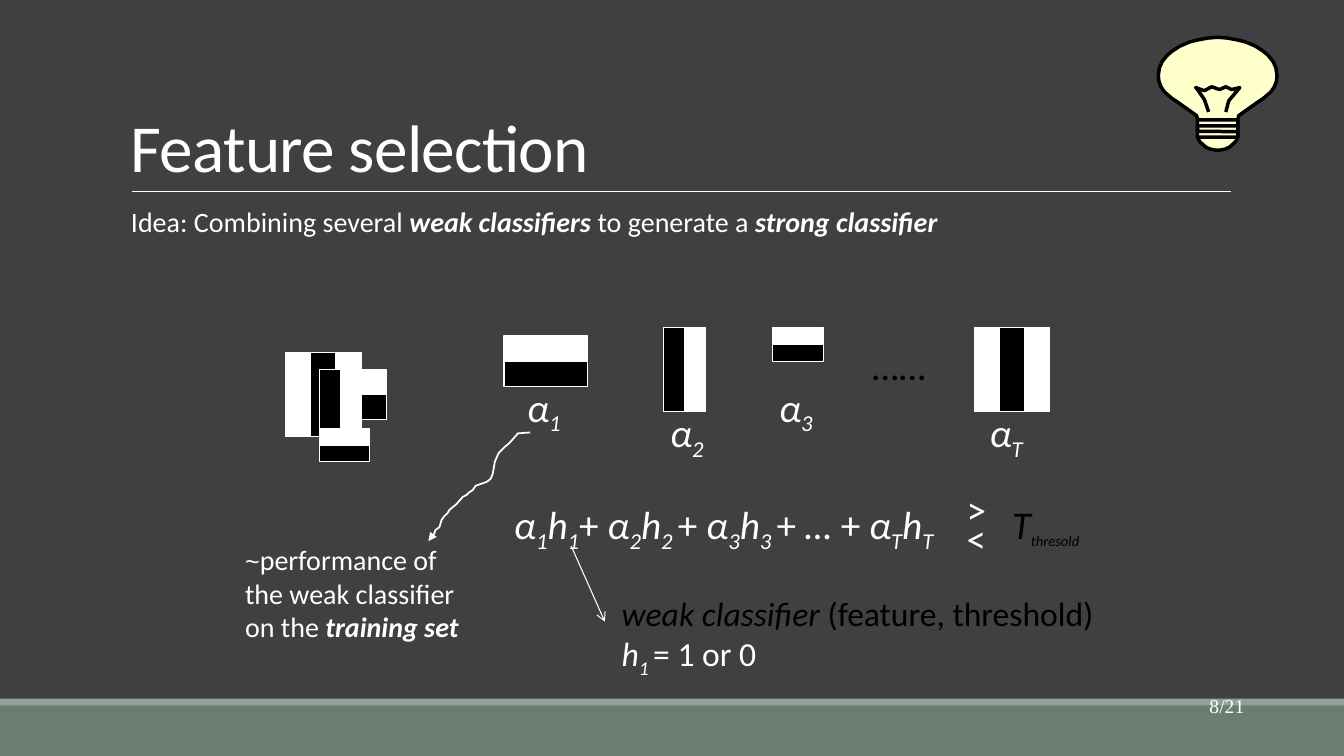
import pptx
import pptx.dml.color
import pptx.enum.dml
import pptx.enum.shapes
import pptx.enum.text
import pptx.util
from pptx.oxml.ns import qn
import lxml.etree

Pt = pptx.util.Pt
PP = pptx.enum.text.PP_ALIGN
WHITE, BLACK = "FFFFFF", "000000"
ITALIC = {"italic": True}
STRONG = {"bold": True, "italic": True}
SUB = {"italic": True, "baseline": -25000}


def rgb(hex_colour):
    return pptx.dml.color.RGBColor.from_string(hex_colour)


class Deck:
    font, size, colour = "Calibri", 28, WHITE

    def __init__(self, width, height, background):
        self.prs = pptx.Presentation()
        self.prs.slide_width, self.prs.slide_height = Pt(width), Pt(height)
        self.s = self.prs.slides.add_slide(self.prs.slide_layouts[6])
        self.s.background.fill.solid()
        self.s.background.fill.fore_color.rgb = rgb(background)

    def paint(self, sp, fill=None, line=None, width=0.75):
        sp.shadow.inherit = False
        for part, colour in ((sp.fill, fill), (sp.line.fill, line)):
            if colour:
                part.solid()
                part.fore_color.rgb = rgb(colour)
            else:
                part.background()
        if line:
            sp.line.width = Pt(width)

    def rect(self, x, y, w, h, fill, line=None):
        sp = self.s.shapes.add_shape(
            pptx.enum.shapes.MSO_SHAPE.RECTANGLE, Pt(x), Pt(y), Pt(w), Pt(h))
        self.paint(sp, fill, line)

    def feature(self, x, y, w, h, colours, across=False):
        """Equal stripes, side by side if across, else stacked."""
        n = len(colours)
        dx, dy = (w / n, 0) if across else (0, h / n)
        for i, colour in enumerate(colours):
            self.rect(x + i * dx, y + i * dy, dx or w, dy or h, colour, WHITE)

    def arrowhead(self, sp, kind):
        lxml.etree.SubElement(sp.line._get_or_add_ln(), qn("a:tailEnd"), type=kind)

    def line(self, x1, y1, x2, y2, width, head=None):
        c = self.s.shapes.add_connector(
            pptx.enum.shapes.MSO_CONNECTOR.STRAIGHT, Pt(x1), Pt(y1), Pt(x2), Pt(y2))
        c.line.color.rgb = rgb(WHITE)
        c.line.width = Pt(width)
        if head:
            self.arrowhead(c, head)
        lxml.etree.SubElement(c._element.spPr, qn("a:effectLst"))

    def outline(self, contours, line, width, fill=None, head=None):
        """One freeform from lists of points, closed when it has a fill."""
        contours = [[(Pt(x), Pt(y)) for x, y in points] for points in contours]
        builder = self.s.shapes.build_freeform(*contours[0][0], scale=1.0)
        for i, points in enumerate(contours):
            if i:
                builder.move_to(*points[0])
            builder.add_line_segments(points[1:], close=bool(fill))
        sp = builder.convert_to_shape()
        self.paint(sp, fill, line, width)
        if head:
            self.arrowhead(sp, head)

    def text(self, x, y, w, h, paragraphs, wrap=True, grow=True, frame=None,
             para=None, **base):
        """Paragraphs are lists of runs: a string or (string, formats)."""
        tf = self.s.shapes.add_textbox(Pt(x), Pt(y), Pt(w), Pt(h)).text_frame
        size = pptx.enum.text.MSO_AUTO_SIZE
        settings = {"word_wrap": wrap,
                    "auto_size": size.SHAPE_TO_FIT_TEXT if grow else size.NONE}
        for name, value in (settings | (frame or {})).items():
            setattr(tf, name, value)
        for i, runs in enumerate(paragraphs):
            p = tf.add_paragraph() if i else tf.paragraphs[0]
            for name, value in (para or {}).items():
                setattr(p, name, value)
            for run in runs:
                words, extra = (run, {}) if isinstance(run, str) else run
                self.run(p, words, base | extra)

    def run(self, p, words, formats):
        r = p.add_run()
        r.text = words
        formats = {"name": self.font, "size": self.size, "color": self.colour} | formats
        for name, value in formats.items():
            if name == "color":
                r.font.color.rgb = rgb(value)
            elif name in ("baseline", "spc"):
                r._r.get_or_add_rPr().set(name, str(value))
            else:
                setattr(r.font, name, Pt(value) if name == "size" else value)


def term(index, gap=""):
    return [("α", ITALIC), (index, SUB), ("h", ITALIC), (index + gap, SUB)]


def draw_bulb(deck, axis=869.8):
    half = [(0, 107.3), (3, 107.1), (6, 106.3), (8.6, 105), (10.8, 103), (13, 101),
            (14.4, 98), (14.4, 85), (15.1, 82.6), (18.7, 80), (28, 73.4), (33, 70),
            (38.2, 65.5), (40.5, 62), (42, 58), (42.4, 54), (41.6, 48.5),
            (39.6, 44), (36, 39.5), (32.4, 36.5), (27, 33), (20, 30),
            (14.4, 28.6), (7, 27.2), (0, 26.6)]
    glass = half + [(-x, y) for x, y in half[-2:0:-1]]
    filament = [(-6.5, 80), (-9.4, 71.3), (-14.4, 64), (-15.8, 62.6), (-9.4, 64.8),
                (-4.3, 62), (1.4, 64), (5.8, 62), (10, 64), (15.8, 62.6),
                (7.9, 72), (5.8, 80)]
    thread = [(-14.4, 85.7), (14.4, 85.7), (14.4, 90), (-14.4, 90),
              (-14.4, 93.8), (14.4, 94.1), (14.4, 98), (-14.4, 98)]
    glass, filament, thread = [[(axis + x, y) for x, y in points]
                               for points in (glass, filament, thread)]
    deck.outline([glass], BLACK, 2.5, fill="FFFFCC")
    deck.outline([filament, thread], BLACK, 2.5)


def main():
    deck = Deck(960, 540, "404040")
    deck.rect(0, 504, 960, 36, "6B7D72")
    deck.rect(0, 499, 960, 5, "93A299")
    deck.line(94.3, 136.8, 879, 136.8, 0.5)
    deck.text(696, 492, 200, 36, [["8/21"]], grow=False,
              para={"alignment": PP.RIGHT}, name="Times New Roman", size=14)
    deck.text(86.4, 22.3, 792, 114.5, [["Feature selection"]], grow=False,
              frame={"vertical_anchor": pptx.enum.text.MSO_ANCHOR.BOTTOM},
              para={"line_spacing": 0.85}, size=48, spc=-50)
    deck.text(93.6, 145.4, 784.8, 316.8,
              [["Idea: Combining several ", ("weak classifiers ", STRONG),
                "to generate a ", ("strong classifier", STRONG)]],
              grow=False, frame={"margin_left": 0, "margin_right": 0},
              para={"line_spacing": 0.9}, size=20)
    draw_bulb(deck)

    # Pile of candidate features, then the selected ones in a row
    edge, bar = [WHITE, BLACK], [WHITE, BLACK, WHITE]
    deck.feature(216, 264, 60, 36, edge)
    deck.feature(204, 252, 54, 60, bar, across=True)
    deck.feature(228, 264, 30, 60, edge[::-1], across=True)
    deck.feature(228, 306, 36, 24, edge)
    deck.feature(360, 240, 60, 36, edge)
    deck.feature(474, 234, 30, 60, edge[::-1], across=True)
    deck.feature(552, 234, 36, 24, edge)
    deck.feature(696, 234, 54, 60, bar, across=True)
    for index, x, y in (("1", 369.4, 270), ("2", 471.6, 288),
                        ("3", 549.4, 270), ("T", 699.8, 288)):
        deck.text(x, y, 40.3, 41, [[("α", ITALIC), (index, SUB)]], wrap=False)
    deck.text(616.3, 240, 55.4, 41, [["……"]], wrap=False, italic=True, color=BLACK)

    # Weighted sum against the threshold
    total = (term("1") + ["+", " "] + term("2", " ") + ["+", " "] + term("3", " ")
             + ["+ ", ("… ", ITALIC), "+ "] + term("T"))
    deck.text(360, 354, 392.4, 41, [total])
    deck.text(683.3, 356.4, 32.4, 49.7, [["><"]], para={"line_spacing": Pt(20.6)})
    deck.text(715.7, 354, 68.4, 41, [["T", ("thresold", SUB | {"size": 18})]],
              wrap=False, italic=True, color=BLACK)

    # Explanations
    deck.line(408, 390, 432, 444, 0.75, "arrow")
    deck.text(437, 420, 354.2, 65.5,
              [[("weak classifier ", ITALIC | {"color": BLACK}),
                ("(feature, threshold)", {"color": BLACK})],
               [("h", ITALIC), ("1 ", SUB), "= 1 or 0"]], wrap=False, size=24)
    squiggle = [(378.7, 308.9), (370, 309.6), (363.6, 316.8), (360, 319.7),
                (356.4, 323.3), (355.7, 324.7), (353.5, 329.8), (352, 338.4),
                (350.5, 342), (347.8, 344.2), (339.8, 347), (337.7, 350),
                (334.8, 352), (333.4, 353.5), (330.5, 355), (326.2, 360),
                (321, 364.3), (319.7, 366.5), (317.5, 368.6), (315.4, 371.5),
                (313.9, 376.6), (311, 378.7), (310.3, 380.9), (306, 386.5)]
    deck.outline([squiggle], WHITE, 1.25, head="triangle")
    deck.text(168, 384, 174, 80,
              [[("~", {"name": "Arial", "size": 18}),
                "performance of the weak classifier on the ",
                ("training set", STRONG)]], size=20)
    deck.prs.save("out.pptx")


if __name__ == "__main__":
    main()
